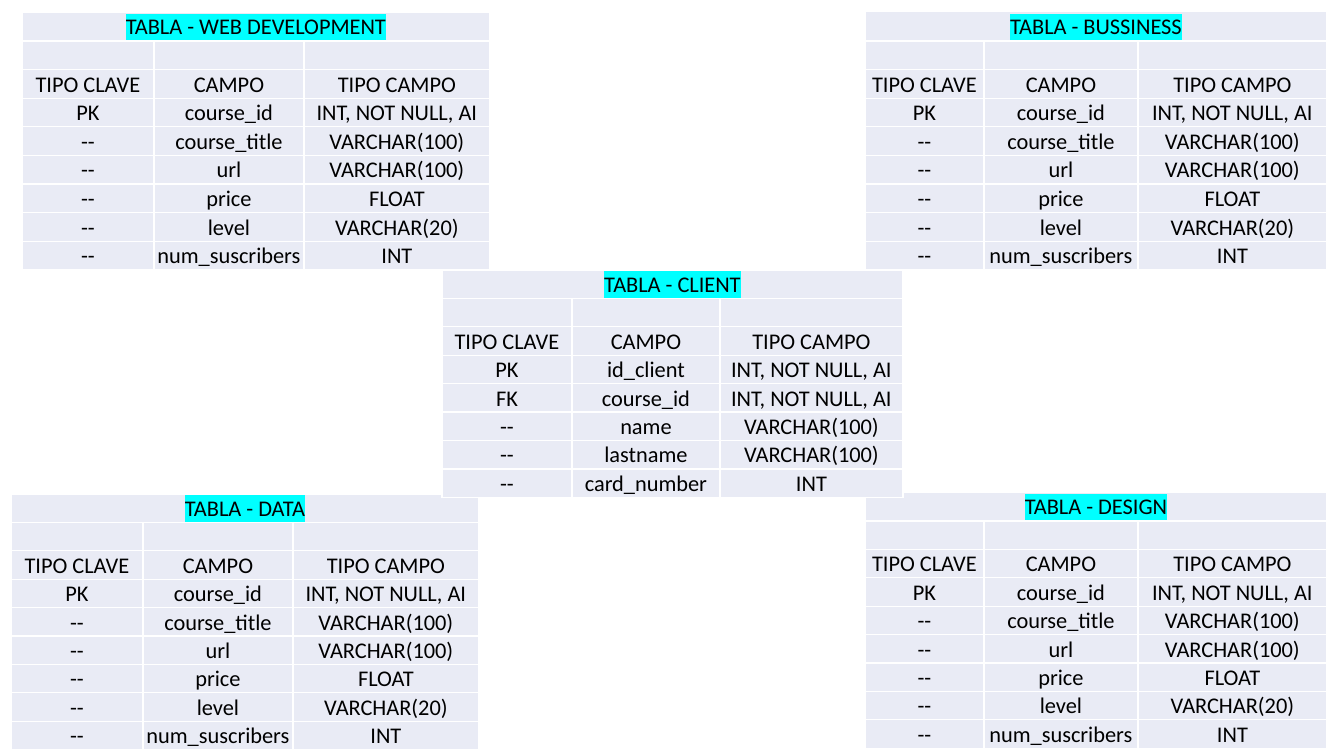
from lxml import etree
from pptx import Presentation
from pptx.dml.color import RGBColor
from pptx.enum.text import MSO_ANCHOR, PP_ALIGN
from pptx.oxml.ns import qn
from pptx.util import Pt

BOTTOM, CENTER = MSO_ANCHOR.BOTTOM, PP_ALIGN.CENTER
PX = 914400 / 100.8
SIZE = 1344, 756
FONT, POINTS = "Calibri", 16
INK, PALE, WHITE, CYAN = "000000", "E9EBF5", "FFFFFF", "00FFFF"

HEAD = ("TIPO CLAVE", "CAMPO", "TIPO CAMPO")
COURSE = [
    ("PK", "course_id", "INT, NOT NULL, AI"),
    ("--", "course_title", "VARCHAR(100)"),
    ("--", "url", "VARCHAR(100)"),
    ("--", "price", "FLOAT"),
    ("--", "level", "VARCHAR(20)"),
    ("--", "num_suscribers", "INT"),
]
CLIENT = [
    ("PK", "id_client", "INT, NOT NULL, AI"),
    ("FK", "course_id", "INT, NOT NULL, AI"),
    ("--", "name", "VARCHAR(100)"),
    ("--", "lastname", "VARCHAR(100)"),
    ("--", "card_number", "INT"),
]
LEFT_COLS, RIGHT_COLS, CLIENT_COLS = (132, 150, 186), (119, 154, 189), (130, 148, 183)

# title, fields, left, top, height, first row, column widths
TABLES = [
    ("WEB DEVELOPMENT", COURSE, 22, 12, 258, 29, LEFT_COLS),
    ("BUSSINESS", COURSE, 865, 11, 259, 30, RIGHT_COLS),
    ("DATA", COURSE, 11, 494, 252, 28, LEFT_COLS),
    ("DESIGN", COURSE, 865, 492, 253, 29, RIGHT_COLS),
    ("CLIENT", CLIENT, 442, 270, 224, 28, CLIENT_COLS),
]


def px(n):
    return round(n * PX)


def color(code):
    return RGBColor.from_string(code)


def paint(parent, tag, code):
    """Add a colour-holding child such as solidFill or highlight."""
    node = etree.SubElement(parent, qn(tag))
    etree.SubElement(node, qn("a:srgbClr"), val=code)


def style(cell, text, marked):
    props = cell._tc.get_or_add_tcPr()
    for side in "LRTB":
        line = etree.SubElement(props, qn(f"a:ln{side}"), w=str(Pt(1)))
        paint(line, "a:solidFill", WHITE)
    cell.fill.solid()
    cell.fill.fore_color.rgb = color(PALE)
    cell.margin_left = cell.margin_right = cell.margin_top = px(1)
    cell.margin_bottom = 0
    cell.vertical_anchor = BOTTOM

    para = cell.text_frame.paragraphs[0]
    para.alignment = CENTER
    para.font.name, para.font.size = FONT, Pt(POINTS)
    para.font.color.rgb = color(INK)
    if text:
        run = para.add_run()
        run.text = text
        if marked:
            paint(run._r.get_or_add_rPr(), "a:highlight", CYAN)
    else:
        # An empty cell takes its line height from the end mark
        etree.SubElement(para._p, qn("a:endParaRPr"), sz=str(POINTS * 100))


def add_schema(slide, title, fields, left, top, height, first, widths):
    rows = [(f"TABLA - {title}", "", ""), ("", "", ""), HEAD, *fields]
    frame = slide.shapes.add_table(
        len(rows), len(widths), px(left), px(top), px(sum(widths)), px(height))
    table = frame.table
    table.first_row = table.horz_banding = False
    for col, width in zip(table.columns, widths):
        col.width = px(width)
    rest = (height - first) / (len(rows) - 1)
    for r, row in enumerate(rows):
        table.rows[r].height = px(rest if r else first)
        for c, text in enumerate(row):
            style(table.cell(r, c), text, r == 0)
    table.cell(0, 0).merge(table.cell(0, len(widths) - 1))


def main():
    deck = Presentation()
    deck.slide_width, deck.slide_height = map(px, SIZE)
    slide = deck.slides.add_slide(deck.slide_layouts[6])
    for schema in TABLES:
        add_schema(slide, *schema)
    deck.save("out.pptx")


if __name__ == "__main__":
    main()
